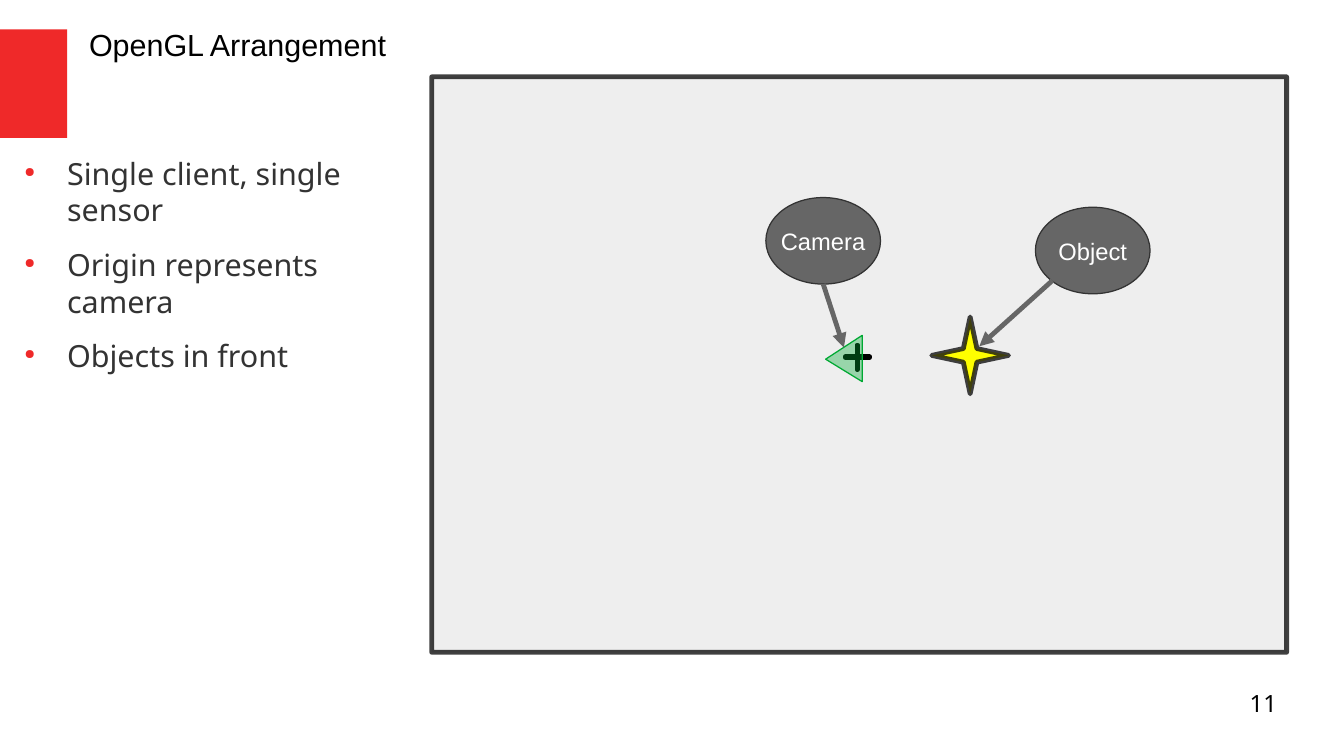
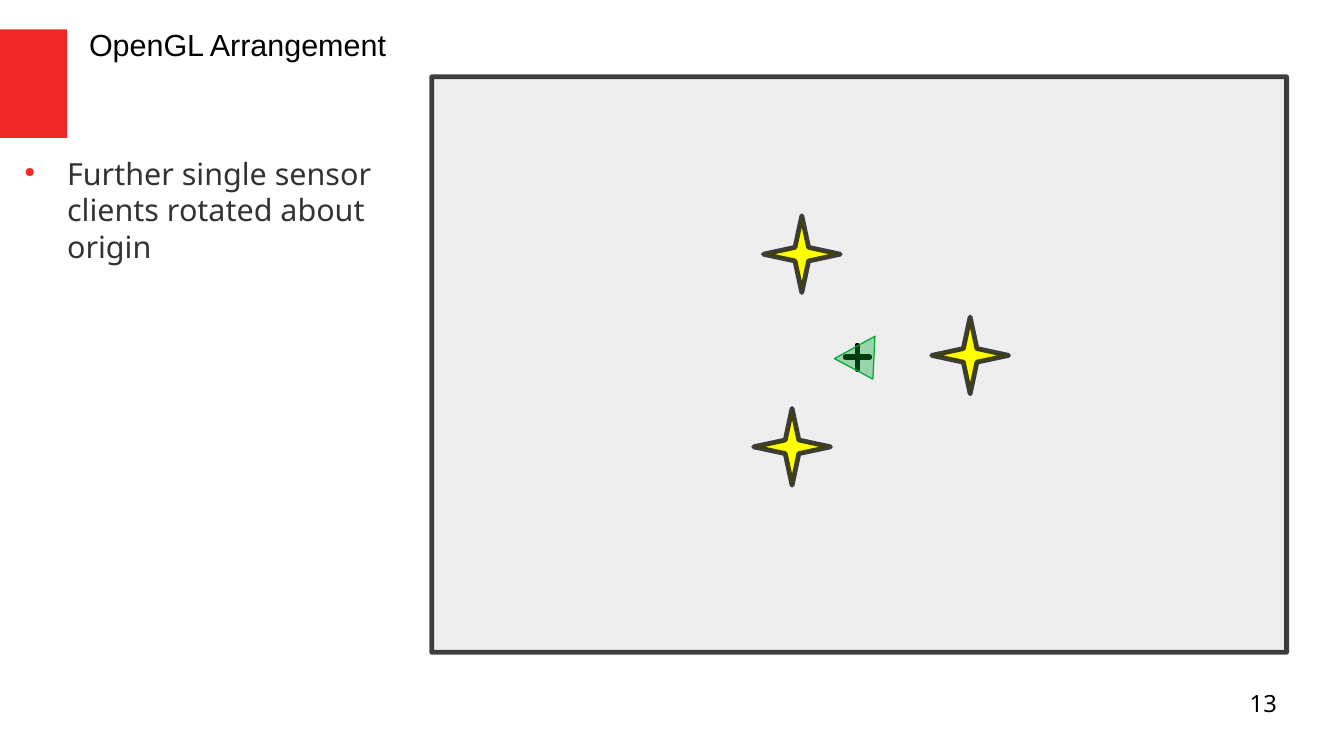
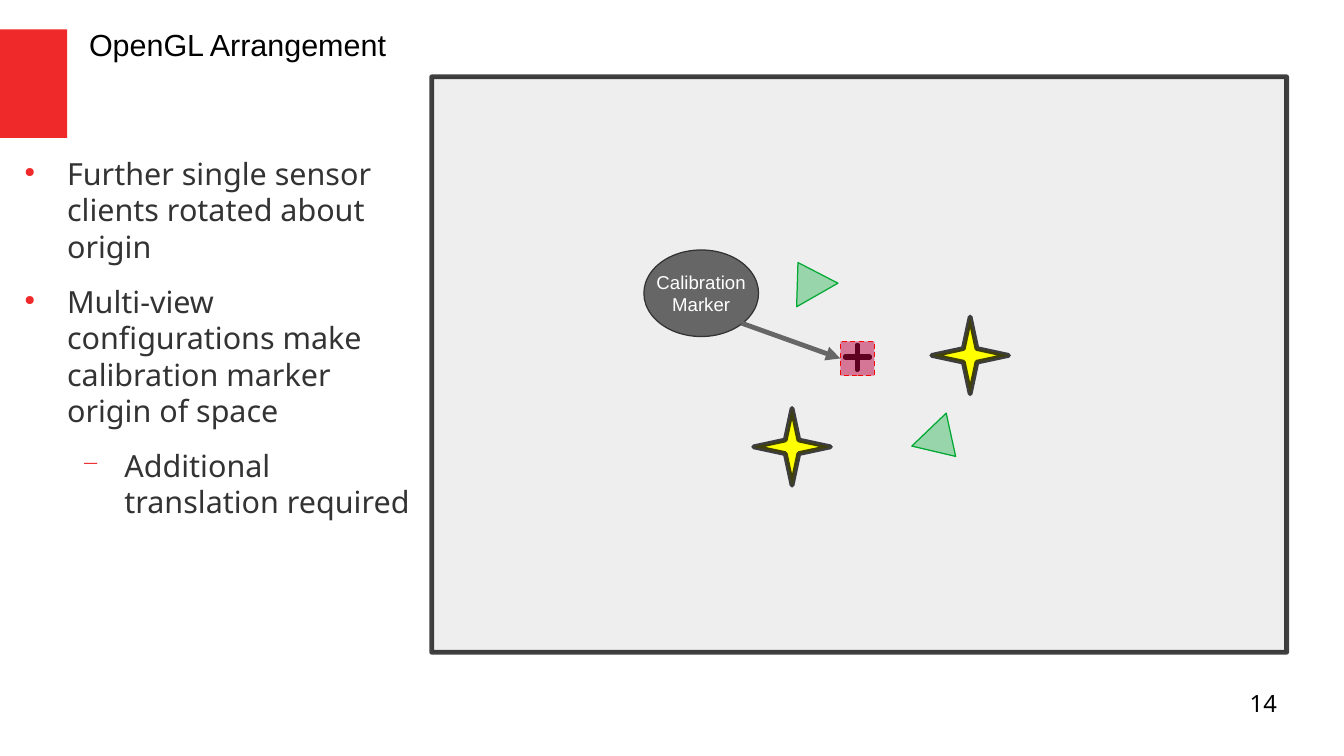
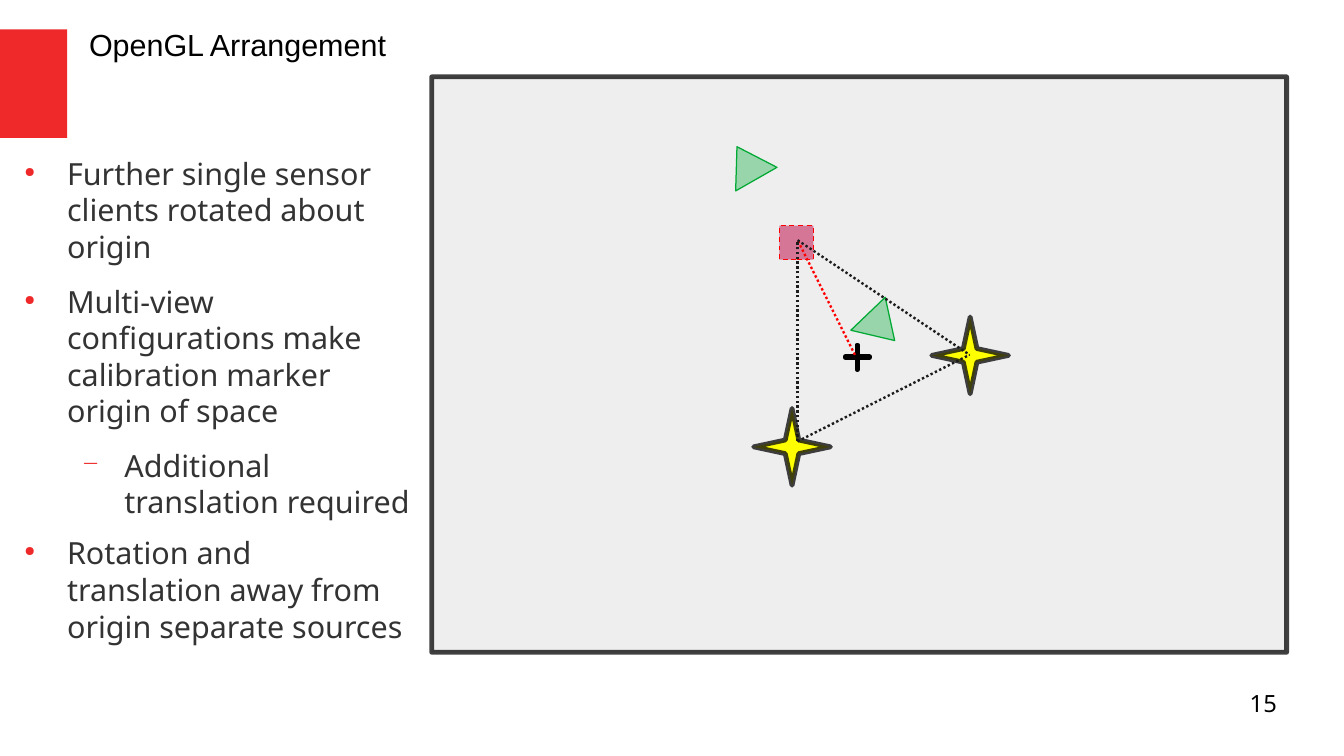
from collections import namedtuple

from lxml.etree import SubElement
from pptx import Presentation
from pptx.dml.color import RGBColor
from pptx.enum.dml import MSO_LINE
from pptx.enum.shapes import MSO_CONNECTOR, MSO_SHAPE
from pptx.enum.text import MSO_ANCHOR, MSO_AUTO_SIZE, PP_ALIGN
from pptx.oxml.ns import qn
from pptx.util import Inches, Pt

RED = RGBColor(0xEF, 0x29, 0x29)
PALE = RGBColor(0xEE, 0xEE, 0xEE)
BLACK = RGBColor(0, 0, 0)
WHITE = RGBColor(0xFF, 0xFF, 0xFF)
INK = RGBColor(0x33, 0x33, 0x33)
GREY = RGBColor(0x66, 0x66, 0x66)
COAL = RGBColor(0x11, 0x11, 0x11)
DOT = RGBColor(0x1C, 0x1C, 0x1C)
YELLOW = RGBColor(0xFF, 0xFF, 0)
GREEN = RGBColor(0, 0xA9, 0x33)
ROSE = RGBColor(0xBF, 0, 0x41)
ALERT = RGBColor(0xFF, 0, 0)

HEAD, BODY = "Arial", "Noto Sans"
THICK, THIN, HAIR = 2.83, 1.42, 0

Box = namedtuple("Box", "x y w h")
MARK = Box(0, 0.24, 0.55, 0.89)
TITLE = Box(0.63, 0.16, 2.76, 0.47)
LIST = Box(0.08, 1.27, 3.31, 4.48)
SPACE = Box(3.54, 0.63, 7.01, 4.72)
PAGE = Box(7.9, 5.65, 2.57, 0.43)

# Bullet styles by level: sign, size in percent, left margin, space after
LEVELS = [("●", 45, 0.47, 10.6), ("−", 75, 0.94, 8.5)]

# Places of sources, measured from the corner of the space
EAST, SOUTH, NORTH = (4.1, 1.97), (2.64, 2.72), (2.72, 1.14)


def put(item, **values):
    for name, value in values.items():
        setattr(item, name, value)


def inches(box):
    return [Inches(n) for n in box]


def within(box, x, y, w, h):
    return Box(box.x + x, box.y + y, w, h)


def style(font, name, size, color):
    put(font, name=name, size=Pt(size))
    font.color.rgb = color


def frame(shape, x=0, y=0, **values):
    """Set the margins and other values of a text frame and return it."""
    text = shape.text_frame
    put(text, margin_left=Inches(x), margin_right=Inches(x),
        margin_top=Inches(y), margin_bottom=Inches(y), **values)
    return text


def fade(shape, tag, percent):
    """Make the fill or line named by tag partly transparent."""
    color = shape.element.spPr.find(qn(tag)).find(".//" + qn("a:srgbClr"))
    SubElement(color, qn("a:alpha"), val=str(percent * 1000))


def rule(shape, color, width, dash=None):
    """Set a line with round joins and return its XML."""
    shape.line.color.rgb = color
    shape.line.width = Pt(width)
    if dash:
        shape.line.dash_style = dash
    line = shape.element.spPr.find(qn("a:ln"))
    SubElement(line, qn("a:round"))
    return line


def draw(slide, kind, box, fill, line=None, width=HAIR, dash=None, adj=None, turn=0):
    shape = slide.shapes.add_shape(kind, *inches(box))
    put(shape, rotation=turn)
    shape.shadow.inherit = False
    shape.fill.solid()
    shape.fill.fore_color.rgb = fill
    if adj:
        shape.adjustments[0] = adj
    if line is None:
        shape.line.fill.background()
    else:
        rule(shape, line, width, dash)
    return shape


def link(slide, box, start, end, color, width, dash=None, arrow=False):
    ends = [Inches(n) for x, y in (start, end) for n in (box.x + x, box.y + y)]
    wire = slide.shapes.add_connector(MSO_CONNECTOR.STRAIGHT, *ends)
    line = rule(wire, color, width, dash)
    if arrow:
        SubElement(line, qn("a:tailEnd"), type="triangle")
    SubElement(wire.element.spPr, qn("a:effectLst"))
    return wire


def star(slide, box, place):
    shape = draw(slide, MSO_SHAPE.STAR_4_POINT, within(box, *place, 0.63, 0.63),
                 YELLOW, COAL, THICK, adj=0.125)
    fade(shape, "a:ln", 80)


def camera(slide, box, x, y, turn, w=0.39, h=0.31):
    shape = draw(slide, MSO_SHAPE.ISOSCELES_TRIANGLE, within(box, x, y, w, h),
                 GREEN, GREEN, adj=0.486, turn=turn)
    fade(shape, "a:solidFill", 36)


def marker(slide, box, x, y):
    """Draw the calibration marker with a camera on either side."""
    shape = draw(slide, MSO_SHAPE.RECTANGLE, within(box, x, y, 0.28, 0.28),
                 ROSE, ALERT, dash=MSO_LINE.SQUARE_DOT)
    shape.line.dash_style = MSO_LINE.DASH
    fade(shape, "a:solidFill", 50)
    camera(slide, box, x - 0.46, y - 0.67, 330.3)
    camera(slide, box, x + 0.64, y + 0.68, 136.2)
    return shape


def label(slide, box, x, y, words, size, start, end):
    """Draw a named bubble and its arrow, which is returned."""
    bubble = draw(slide, MSO_SHAPE.OVAL, within(box, x, y, 0.94, 0.71), GREY, INK)
    text = frame(bubble, 0.1, 0.05, word_wrap=False, vertical_anchor=MSO_ANCHOR.MIDDLE)
    text.text = words
    for para in text.paragraphs:
        para.alignment = PP_ALIGN.CENTER
        style(para.font, HEAD, size, WHITE)
    return link(slide, box, start, end, GREY, THICK, arrow=True)


def space(slide, box):
    """Draw the framed space and the cross at its origin."""
    back = draw(slide, MSO_SHAPE.RECTANGLE, box, PALE, BLACK, THICK)
    fade(back, "a:ln", 75)
    draw(slide, MSO_SHAPE.CROSS, within(box, 3.39, 2.2, 0.2, 0.2),
         BLACK, BLACK, THICK, adj=0.488)


def single(slide, box):
    star(slide, box, EAST)
    label(slide, box, 4.95, 1.07, "Object", 14, (5.09, 1.67), (4.49, 2.21))
    camera(slide, box, 3.19, 2.16, 270, 0.38, 0.3)
    label(slide, box, 2.74, 0.99, "Camera", 14, (3.21, 1.7), (3.38, 2.22))


def rotated(slide, box):
    for place in (EAST, SOUTH, NORTH):
        star(slide, box, place)
    camera(slide, box, 3.35, 2.2, 151.1, 0.38, 0.3)


def centred(slide, box):
    for place in (EAST, SOUTH):
        star(slide, box, place)
    goal = marker(slide, box, 3.35, 2.17)
    arrow = label(slide, box, 1.74, 1.42, "Calibration\vMarker", 11,
                  (2.54, 2.02), (3.35, 2.31))
    arrow.end_connect(goal, 1)


def moved(slide, box):
    for place in (EAST, SOUTH):
        star(slide, box, place)
    marker(slide, box, 2.85, 1.22)
    origin, top, low, right = (3.47, 2.28), (3, 1.34), (3, 2.99), (4.41, 2.28)
    for start, end, color in [(origin, top, ALERT), (low, top, DOT),
                              (low, right, DOT), (top, right, DOT)]:
        link(slide, box, start, end, color, THIN, MSO_LINE.ROUND_DOT)


def heading(slide, box, words):
    title = slide.shapes.title
    put(title, **dict(zip(("left", "top", "width", "height"), inches(box))))
    text = frame(title, 0.1, 0.05, word_wrap=True, vertical_anchor=MSO_ANCHOR.TOP,
                 auto_size=MSO_AUTO_SIZE.NONE)
    text.text = words
    para = text.paragraphs[0]
    para.alignment = PP_ALIGN.LEFT
    style(para.font, HEAD, 18, BLACK)


def bullets(slide, box, points):
    text = frame(slide.shapes.add_textbox(*inches(box)), word_wrap=True)
    for i, (level, words) in enumerate(points):
        para = text.add_paragraph() if i else text.paragraphs[0]
        sign, size, left, after = LEVELS[level]
        put(para, text=words, level=level, space_after=Pt(after))
        style(para.font, BODY, 18, INK)
        props = para._p.get_or_add_pPr()
        props.set("marL", str(Inches(left)))
        props.set("indent", str(Inches(-0.35)))
        # Bullet parts must stand before the font defaults
        fonts = props.find(qn("a:defRPr"))
        color = SubElement(props, qn("a:buClr"))
        SubElement(color, qn("a:srgbClr"), val=str(RED))
        SubElement(props, qn("a:buSzPct"), val=str(size * 1000))
        SubElement(props, qn("a:buChar"), char=sign)
        props.append(fonts)


def number(slide, box, page):
    text = frame(slide.shapes.add_textbox(*inches(box)), word_wrap=True)
    para = text.paragraphs[0]
    put(para, text=str(page), alignment=PP_ALIGN.RIGHT)
    style(para.font, BODY, 14, BLACK)


def brand(layout, slide):
    """Move a red mark onto the layout, so that all slides show it."""
    mark = draw(slide, MSO_SHAPE.RECTANGLE, MARK, RED)
    layout.shapes.element.insert(2, mark.element)


TURN = (0, "Further single sensor clients rotated about origin")
MULTI = [
    TURN,
    (0, "Multi-view configurations make calibration marker origin of space"),
    (1, "Additional translation required"),
]
SLIDES = [
    (11, single, [(0, "Single client, single sensor"),
                  (0, "Origin represents camera"),
                  (0, "Objects in front")]),
    (13, rotated, [TURN]),
    (14, centred, MULTI),
    (15, moved, MULTI + [
        (0, "Rotation and translation away from origin separate sources")]),
]


def main():
    deck = Presentation()
    put(deck, slide_width=Inches(11.02), slide_height=Inches(6.2))
    layout = deck.slide_layouts[5]
    for page, scene, points in SLIDES:
        slide = deck.slides.add_slide(layout)
        if len(deck.slides) == 1:
            brand(layout, slide)
        heading(slide, TITLE, "OpenGL Arrangement")
        space(slide, SPACE)
        bullets(slide, LIST, points)
        scene(slide, SPACE)
        number(slide, PAGE, page)
    deck.save("out.pptx")


if __name__ == "__main__":
    main()
